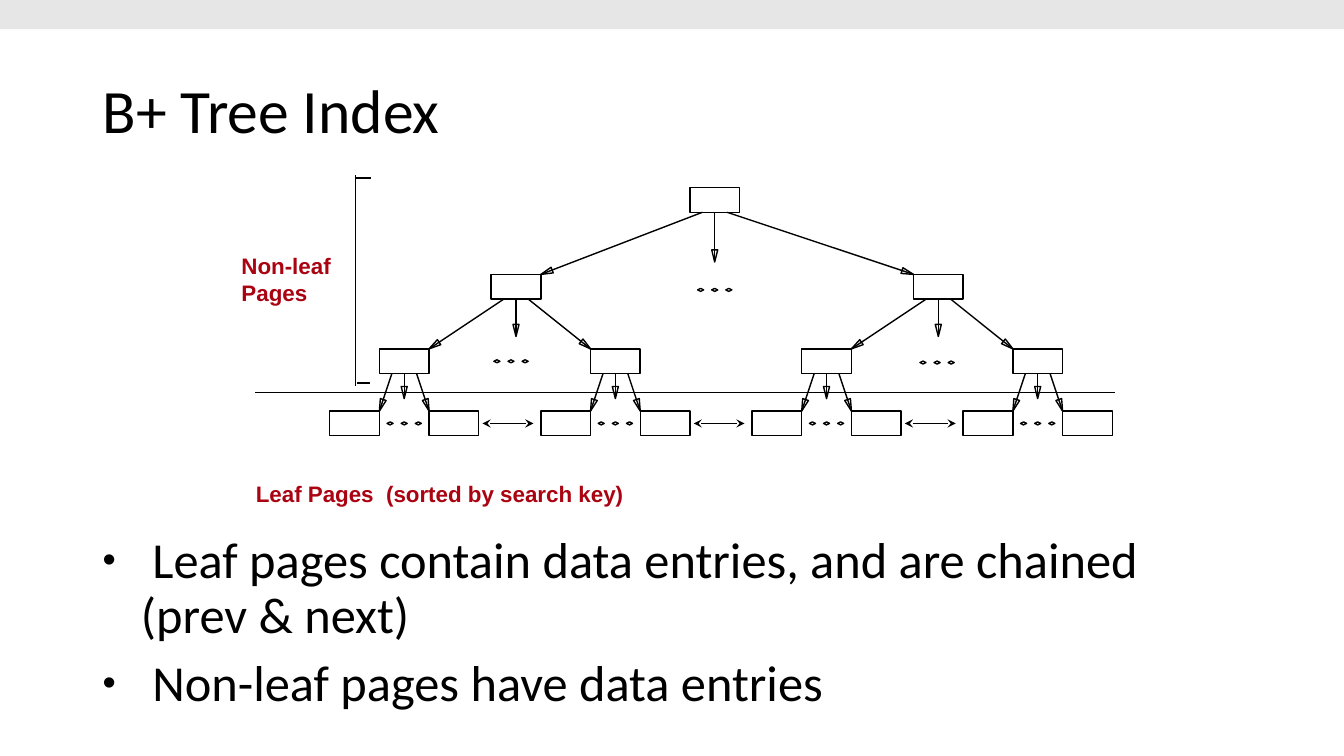
import dataclasses
import math
import pptx
import pptx.dml.color
import pptx.enum.shapes
import pptx.enum.text
import pptx.util
from lxml import etree

WIDE, HIGH = 13.33, 7.5
INK, RED, GREY = "000000", "AA0311", "E7E6E6"
SHAPE = pptx.enum.shapes.MSO_SHAPE
ANCHOR = pptx.enum.text.MSO_ANCHOR
ALIGN = pptx.enum.text.PP_ALIGN
NODE_W, NODE_H = 4, 2
GROUP = 17
LEVELS = {"root": 0, "mid": 7, "low": 13, "leaf": 18}


@dataclasses.dataclass
class Grid:
    """A square grid, in inches, that the tree is laid out on."""
    left: float
    top: float
    unit: float

    def at(self, col, row):
        """Give the place of a grid point in inches."""
        return self.left + col * self.unit, self.top + row * self.unit


def inch(*sizes):
    """Turn inches into whole lengths."""
    return [pptx.util.Inches(size) for size in sizes]


def color(code):
    """Turn a hex string into a colour."""
    return pptx.dml.color.RGBColor.from_string(code)


def child(node, name, **attrs):
    """Append a drawing element with its attributes."""
    space = "{http://schemas.openxmlformats.org/drawingml/2006/main}"
    return etree.SubElement(node, space + name, **attrs)


def outline(shape, fill=None, line=INK):
    """Set the fill and the line of a shape and drop its shadow."""
    shape.shadow.inherit = False
    if fill:
        shape.fill.solid()
        shape.fill.fore_color.rgb = color(fill)
    else:
        shape.fill.background()
    if line:
        shape.line.color.rgb = color(line)
        shape.line.width = pptx.util.Pt(1)
    else:
        shape.line.fill.background()


def write(shape, lines, size, font, ink=INK, bold=False, wrap=True,
          anchor=ANCHOR.TOP, space=None, before=0, bullet=False):
    """Put formatted paragraphs in a shape."""
    frame = shape.text_frame
    frame.word_wrap = wrap
    frame.vertical_anchor = anchor
    frame.text = "\n".join(lines)
    for para in frame.paragraphs:
        para.alignment = ALIGN.LEFT
        para.line_spacing = space
        para.space_before = pptx.util.Pt(before)
        para.font.size = pptx.util.Pt(size)
        para.font.name = font
        para.font.bold = bold
        para.font.color.rgb = color(ink)
        for run in para.runs:
            run.font.size = pptx.util.Pt(size)
            run.font.name = font
            run.font.bold = bold
            run.font.color.rgb = color(ink)
        if bullet:
            props = para._p.get_or_add_pPr()
            indent = pptx.util.Inches(0.38)
            props.set("marL", str(indent))
            props.set("indent", str(-indent))
            for node in list(props):
                if node.tag.endswith("defRPr"):
                    props.remove(node)
            child(props, "buSzPct", val="75000")
            child(props, "buFont", typeface="Arial")
            child(props, "buChar", char="•")


def stroke(slide, start, end, both=False):
    """Draw a straight line, with stealth heads if asked."""
    kind = pptx.enum.shapes.MSO_CONNECTOR.STRAIGHT
    link = slide.shapes.add_connector(kind, *inch(*start, *end))
    link.line.color.rgb = color(INK)
    link.line.width = pptx.util.Pt(1)
    if both:
        edge = link.line._get_or_add_ln()
        child(edge, "headEnd", type="stealth")
        child(edge, "tailEnd", type="stealth")
    child(link._element.spPr, "effectLst")


def arrow(slide, start, end):
    """Draw a line that ends in a slim open triangle."""
    stroke(slide, start, end)
    angle = math.atan2(end[1] - start[1], end[0] - start[0])
    along, side = (math.cos(angle), math.sin(angle)), (-math.sin(angle), math.cos(angle))
    wings = [inch(*(end[k] - 0.12 * along[k] + half * side[k] for k in (0, 1)))
             for half in (0.03, -0.03)]
    path = slide.shapes.build_freeform(*inch(*end))
    path.add_line_segments(wings, close=True)
    outline(path.convert_to_shape())


def node(slide, grid, col, row):
    """Draw the box of one page."""
    size = NODE_W * grid.unit, NODE_H * grid.unit
    outline(slide.shapes.add_shape(SHAPE.RECTANGLE, *inch(*grid.at(col, row), *size)))


def dots(slide, grid, col, row):
    """Draw three small diamonds around a grid point."""
    mid, level = grid.at(col, row)
    for step in (-1, 0, 1):
        box = inch(mid + step * 0.14 - 0.03, level - 0.015, 0.06, 0.03)
        outline(slide.shapes.add_shape(SHAPE.DIAMOND, *box))


def branch(slide, grid, col, row, left, right, below, stop):
    """Draw a page with arrows to its outer children and one down."""
    node(slide, grid, col, row)
    foot = row + NODE_H
    for shift, goal in ((1, (left, below)), (2, (col + 2, stop)), (3, (right, below))):
        arrow(slide, grid.at(col + shift, foot), grid.at(*goal))


def tree(slide, grid):
    """Draw all pages, from the root down to the chained leaves."""
    root, mid, low, leaf = LEVELS.values()
    branch(slide, grid, 29, root, 17, 47, mid, 6)
    dots(slide, grid, 31, 8.25)
    for col, gap, level in ((13, 14.6, 14), (47, 48.9, 14.1)):
        branch(slide, grid, col, mid, col - 5, col + 8, low, 12)
        dots(slide, grid, gap, level)
    for index in range(4):
        col = index * GROUP
        branch(slide, grid, col + 4, low, col + 4, col + 8, leaf, 17)
        dots(slide, grid, col + 6, leaf + 1)
        for shift in (0, 8):
            node(slide, grid, col + shift, leaf)
        if index < 3:
            stroke(slide, grid.at(col + 12.3, leaf + 1), grid.at(col + 16.4, leaf + 1), both=True)


def notes(slide, grid):
    """Draw the bracket, the dividing line and the red labels."""
    for start, end in (((2.1, -1), (2.1, 16)), ((2.1, -0.75), (3.35, -0.75)),
                       ((2.2, 15.75), (3.25, 15.75)), ((-6, 16.5), (63.25, 16.5))):
        stroke(slide, grid.at(*start), grid.at(*end))
    labels = (((-7.9, 4.8), (1.1, 0.64), ["Non-leaf", "Pages"], False),
              ((-6.75, 23.15), (5.02, 0.37), ["Leaf Pages  (sorted by search key)"], True))
    for place, size, lines, wrap in labels:
        label = slide.shapes.add_textbox(*inch(*grid.at(*place), *size))
        write(label, lines, 16, "Arial", ink=RED, bold=True, wrap=wrap)


def heading(slide, left, top, width, height):
    """Place and format the title."""
    title = slide.shapes.title
    title.left, title.top, title.width, title.height = inch(left, top, width, height)
    write(title, ["B+ Tree Index"], 44, "Calibri", anchor=ANCHOR.MIDDLE, space=0.9)


def points(slide, left, top, width, height):
    """Place the bulleted text."""
    body = slide.shapes.add_textbox(*inch(left, top, width, height))
    lines = [" Leaf pages contain data entries, and are chained (prev & next)",
             " Non-leaf pages have data entries"]
    write(body, lines, 36, "Calibri", space=0.9, before=10, bullet=True)


def main():
    """Build the slide and save it."""
    deck = pptx.Presentation()
    deck.slide_width, deck.slide_height = inch(WIDE, HIGH)
    slide = deck.slides.add_slide(deck.slide_layouts[5])
    band = slide.shapes.add_shape(SHAPE.RECTANGLE, *inch(0, 0, WIDE, 0.29))
    outline(band, fill=GREY, line=None)
    heading(slide, 0.92, 0.4, 11.5, 1.45)
    points(slide, 0.92, 5.26, 11.5, 1.99)
    grid = Grid(3.27, 1.86, 0.1232)
    tree(slide, grid)
    notes(slide, grid)
    deck.save("out.pptx")


if __name__ == "__main__":
    main()
